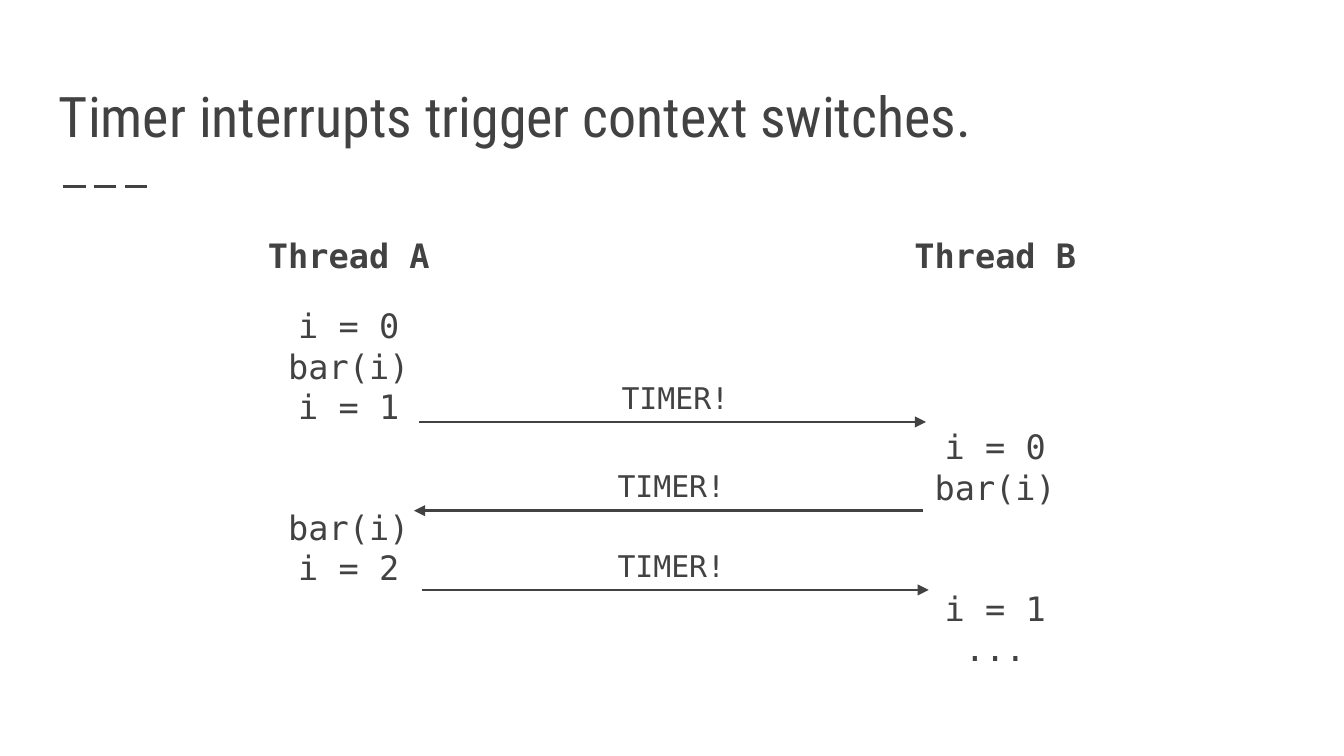
from lxml.etree import SubElement
from pptx import Presentation
from pptx.dml.color import RGBColor
from pptx.enum.dml import MSO_LINE
from pptx.enum.shapes import MSO_CONNECTOR
from pptx.enum.text import MSO_ANCHOR, PP_ALIGN
from pptx.oxml.ns import qn
from pptx.util import Inches, Pt

GREY = RGBColor(0x42, 0x42, 0x42)
MONO = "DejaVu Sans Mono"
LINE_PT = 21.6


def add_text(slide, left, top, width, height, anchor=MSO_ANCHOR.TOP):
    """Add an empty wrapped text box with even insets and return its frame."""
    box = slide.shapes.add_textbox(Inches(left), Inches(top), Inches(width), Inches(height))
    tf = box.text_frame
    tf.word_wrap = True
    tf.vertical_anchor = anchor
    tf.margin_left = tf.margin_right = tf.margin_top = tf.margin_bottom = Inches(0.1)
    return tf


def write(p, text, size, font=MONO, bold=False, align=PP_ALIGN.CENTER):
    """Fill a paragraph with text in one style."""
    p.text = text
    p.alignment = align
    p.font.name = font
    p.font.size = Pt(size)
    p.font.bold = bold
    p.font.color.rgb = GREY


def add_line(slide, x1, x2, y):
    """Add a plain horizontal line."""
    c = slide.shapes.add_connector(
        MSO_CONNECTOR.STRAIGHT, Inches(x1), Inches(y), Inches(x2), Inches(y))
    c.line.color.rgb = GREY
    c.line.width = Pt(1.5)
    SubElement(c._element.spPr, qn("a:effectLst"))
    return c


def add_title(slide, left, top, width, height):
    """Add the title with the dashed rule beneath it."""
    tf = add_text(slide, left, top, width, height, MSO_ANCHOR.BOTTOM)
    write(tf.paragraphs[0], "Timer interrupts trigger context switches.", 30,
          "Roboto Condensed", align=PP_ALIGN.LEFT)
    rule = add_line(slide, left + 0.13, left + 0.8, top + height + 0.18)
    rule.line.dash_style = MSO_LINE.LONG_DASH


def add_thread(slide, left, top, width, height, name, steps):
    """Add a thread's heading and its steps, each placed on a numbered row."""
    tf = add_text(slide, left, top, width, height)
    heading = tf.paragraphs[0]
    write(heading, name, 18, bold=True)
    heading.line_spacing = Pt(24.5)
    previous = -1
    for row, text in steps:
        p = tf.add_paragraph()
        write(p, text, 18)
        p.line_spacing = Pt(LINE_PT)
        lead = 16 if previous < 0 else 0
        p.space_before = Pt(lead + (row - previous - 1) * LINE_PT)
        previous = row


def add_switch(slide, x1, x2, y, label_left):
    """Add an arrow from one thread to the other with its timer label above."""
    arrow = add_line(slide, x1, x2, y)
    SubElement(arrow.line._get_or_add_ln(), qn("a:tailEnd"), type="triangle")
    tf = add_text(slide, label_left, y - 0.37, 1.29, 0.37, MSO_ANCHOR.MIDDLE)
    write(tf.paragraphs[0], "TIMER!", 16)


def main():
    """Build and save the slide."""
    prs = Presentation()
    prs.slide_width = Inches(10)
    prs.slide_height = Inches(10) * 9 // 16
    s = prs.slides.add_slide(prs.slide_layouts[6])
    add_title(s, 0.34, 0.41, 9.32, 0.8)
    add_thread(s, 0.34, 1.61, 4.51, 3.39, "Thread A",
               [(0, "i = 0"), (1, "bar(i)"), (2, "i = 1"), (5, "bar(i)"), (6, "i = 2")])
    add_thread(s, 5.15, 1.61, 4.51, 3.39, "Thread B",
               [(3, "i = 0"), (4, "bar(i)"), (7, "i = 1"), (8, "...")])
    add_switch(s, 3.12, 6.89, 3.14, 4.38)
    add_switch(s, 6.87, 3.08, 3.8, 4.35)
    add_switch(s, 3.14, 6.91, 4.39, 4.35)
    prs.save("out.pptx")


if __name__ == "__main__":
    main()
